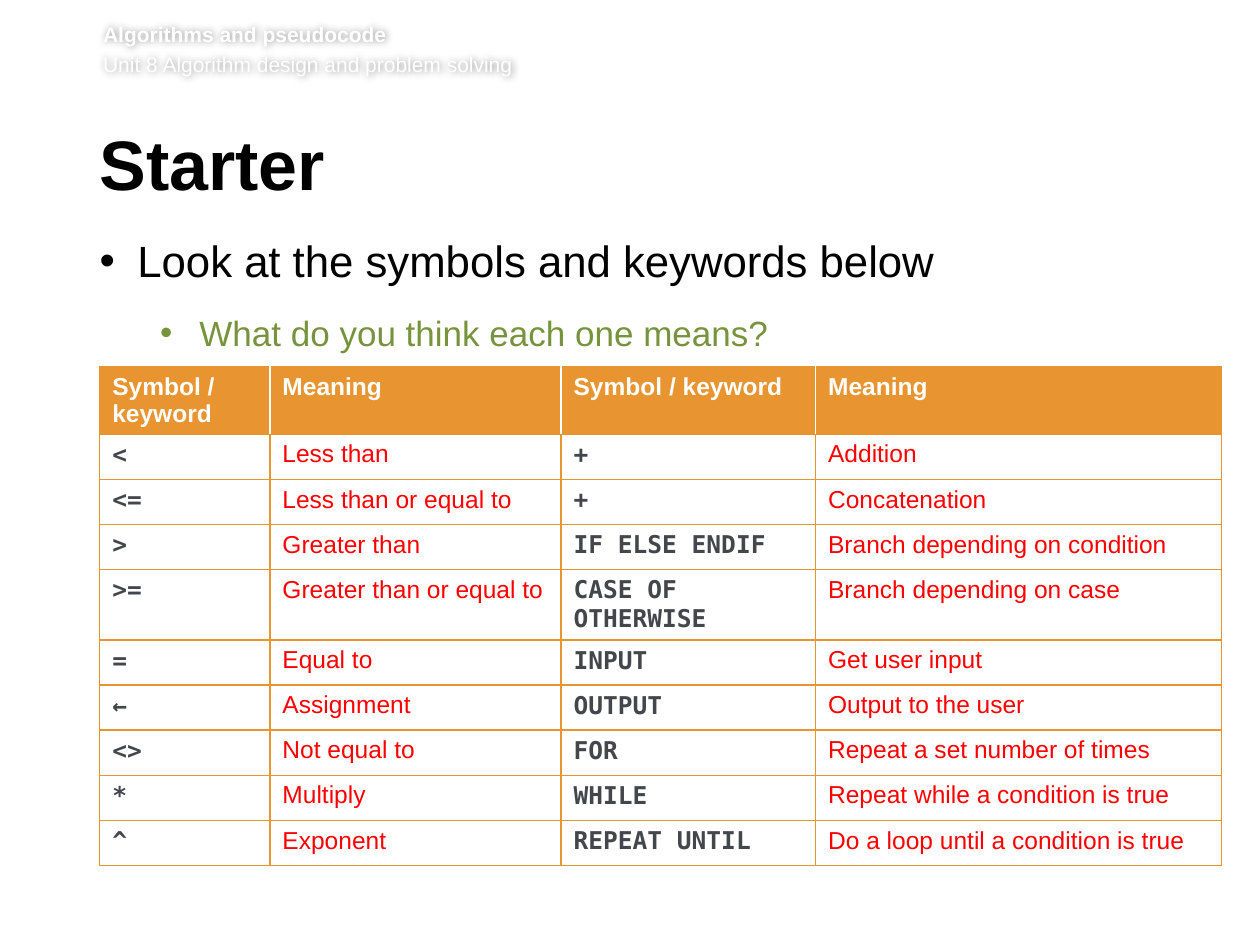
from dataclasses import dataclass

from lxml import etree
from pptx import Presentation
from pptx.dml.color import RGBColor
from pptx.enum.text import MSO_ANCHOR, MSO_AUTO_SIZE, PP_ALIGN
from pptx.oxml.ns import qn
from pptx.util import Cm, Pt

TOP, MIDDLE = MSO_ANCHOR.TOP, MSO_ANCHOR.MIDDLE
LEFT = PP_ALIGN.LEFT
NO_AUTOFIT = MSO_AUTO_SIZE.NONE

COLUMN_WIDTHS = (3.43, 5.87, 5.13, 8.18)
ROW_HEIGHT = 0.91
ROWS = [
    ("Symbol / keyword", "Meaning", "Symbol / keyword", "Meaning"),
    ("<", "Less than", "+", "Addition"),
    ("<=", "Less than or equal to", "+", "Concatenation"),
    (">", "Greater than", "IF ELSE ENDIF", "Branch depending on condition"),
    (">=", "Greater than or equal to", "CASE OF OTHERWISE", "Branch depending on case"),
    ("=", "Equal to", "INPUT", "Get user input"),
    ("←", "Assignment", "OUTPUT", "Output to the user"),
    ("<>", "Not equal to", "FOR", "Repeat a set number of times"),
    ("*", "Multiply", "WHILE", "Repeat while a condition is true"),
    ("^", "Exponent", "REPEAT UNTIL", "Do a loop until a condition is true"),
]


@dataclass(frozen=True)
class Theme:
    font: str = "Arial"
    code_font: str = "DejaVu Sans Mono"
    text: str = "000000"
    white: str = "FFFFFF"
    accent: str = "E89431"
    question: str = "77933C"
    code: str = "43474C"
    answer: str = "FF0000"
    header_size: int = 12
    title_size: int = 40
    body_size: int = 25
    question_size: int = 20
    table_size: int = 14


def add_child(parent, tag, **attributes):
    return etree.SubElement(parent, qn(tag), attributes)


class SlideBuilder:
    def __init__(self, slide, theme):
        self.slide = slide
        self.theme = theme

    def style(self, p, size, color, bold=False, font=None):
        for r in p.runs:
            r.font.name = font or self.theme.font
            r.font.size = Pt(size)
            r.font.bold = bold
            r.font.color.rgb = RGBColor.from_string(color)

    def frame(self, sp, box, insets, anchor=TOP):
        """Place a shape and prepare its text frame; all lengths in cm."""
        sp.left, sp.top, sp.width, sp.height = (Cm(v) for v in box)
        tf = sp.text_frame
        tf.word_wrap = True
        tf.auto_size = NO_AUTOFIT
        tf.vertical_anchor = anchor
        tf.margin_left, tf.margin_top, tf.margin_right, tf.margin_bottom = (
            Cm(v) for v in insets)
        return tf

    def header(self, lines, box):
        """White text lines made readable by a soft grey shadow."""
        sp = self.slide.shapes.add_textbox(0, 0, 0, 0)
        tf = self.frame(sp, box, (0, 0, 0, 0.13))
        tf.text = "\n".join(lines)
        for i, p in enumerate(tf.paragraphs):
            if i:
                p.space_before = Pt(2.9)
            self.style(p, self.theme.header_size, self.theme.white, bold=i == 0)
        effects = add_child(sp._element.spPr, "a:effectLst")
        shadow = add_child(effects, "a:outerShdw", blurRad="50800", dist="0")
        color = add_child(shadow, "a:srgbClr", val="000000")
        add_child(color, "a:alpha", val="40000")

    def title(self, text, box):
        tf = self.frame(self.slide.shapes.title, box, (0, 0.13, 0.25, 0.13), MIDDLE)
        tf.text = text
        p = tf.paragraphs[0]
        p.alignment = LEFT
        p.line_spacing = Pt(39)
        p.space_after = Pt(15)
        self.style(p, self.theme.title_size, self.theme.text, bold=True)

    def bullets(self, items, box):
        """Fill the body; items are (text, level, margin, hang, after, size, color)."""
        tf = self.frame(self.slide.placeholders[1], box, (0, 0, 0.25, 0.13))
        tf.text = "\n".join(item[0] for item in items)
        for p, (_, level, margin, hang, after, size, color) in zip(tf.paragraphs, items):
            p.level = level
            pPr = p._p.get_or_add_pPr()
            pPr.set("marL", str(Cm(margin)))
            pPr.set("indent", str(-Cm(hang)))
            add_child(pPr, "a:buFont", typeface=self.theme.font)
            add_child(pPr, "a:buChar", char="•")
            p.space_before = Pt(0)
            p.space_after = Pt(after)
            self.style(p, size, color)

    def borders(self, cell, colors):
        """Draw 1 pt borders; colors are given left, right, top, bottom."""
        tcPr = cell._tc.get_or_add_tcPr()
        for side, color in zip("LRTB", colors):
            line = add_child(tcPr, f"a:ln{side}", w=str(Pt(1)))
            fill = add_child(line, "a:solidFill")
            add_child(fill, "a:srgbClr", val=color)

    def table(self, rows, left, top):
        t = self.theme
        last = len(COLUMN_WIDTHS) - 1
        table = self.slide.shapes.add_table(
            len(rows), len(COLUMN_WIDTHS), Cm(left), Cm(top),
            Cm(sum(COLUMN_WIDTHS)), Cm(ROW_HEIGHT * len(rows))).table
        for column, width in zip(table.columns, COLUMN_WIDTHS):
            column.width = Cm(width)
        for i, values in enumerate(rows):
            table.rows[i].height = Cm(ROW_HEIGHT)
            for j, value in enumerate(values):
                cell = table.cell(i, j)
                cell.text = value
                p = cell.text_frame.paragraphs[0]
                left_color = right_color = t.accent
                if i == 0:
                    self.style(p, t.table_size, t.white, bold=True)
                    left_color = t.white if j > 0 else t.accent
                    right_color = t.white if j < last else t.accent
                elif j % 2 == 0:
                    self.style(p, t.table_size, t.code, bold=True, font=t.code_font)
                else:
                    self.style(p, t.table_size, t.answer)
                self.borders(cell, (left_color, right_color, t.accent, t.accent))
                cell.fill.solid()
                cell.fill.fore_color.rgb = RGBColor.from_string(
                    t.white if i else t.accent)


def main():
    prs = Presentation()
    prs.slide_width, prs.slide_height = Cm(25.4), Cm(19.05)
    theme = Theme()
    s = SlideBuilder(prs.slides.add_slide(prs.slide_layouts[1]), theme)
    s.header(["Algorithms and pseudocode",
              "Unit 8 Algorithm design and problem solving"],
             (2.08, 0.43, 22.4, 1.24))
    s.title("Starter", (2.01, 2.51, 21.72, 1.85))
    s.bullets([
        ("Look at the symbols and keywords below", 0, 0.76, 0.76, 14,
         theme.body_size, theme.text),
        ("What do you think each one means?", 1, 2.01, 0.79, 12,
         theme.question_size, theme.question),
    ], (2.01, 4.72, 21.67, 9.6))
    s.table(ROWS, 2.01, 7.39)
    prs.save("out.pptx")


if __name__ == "__main__":
    main()
